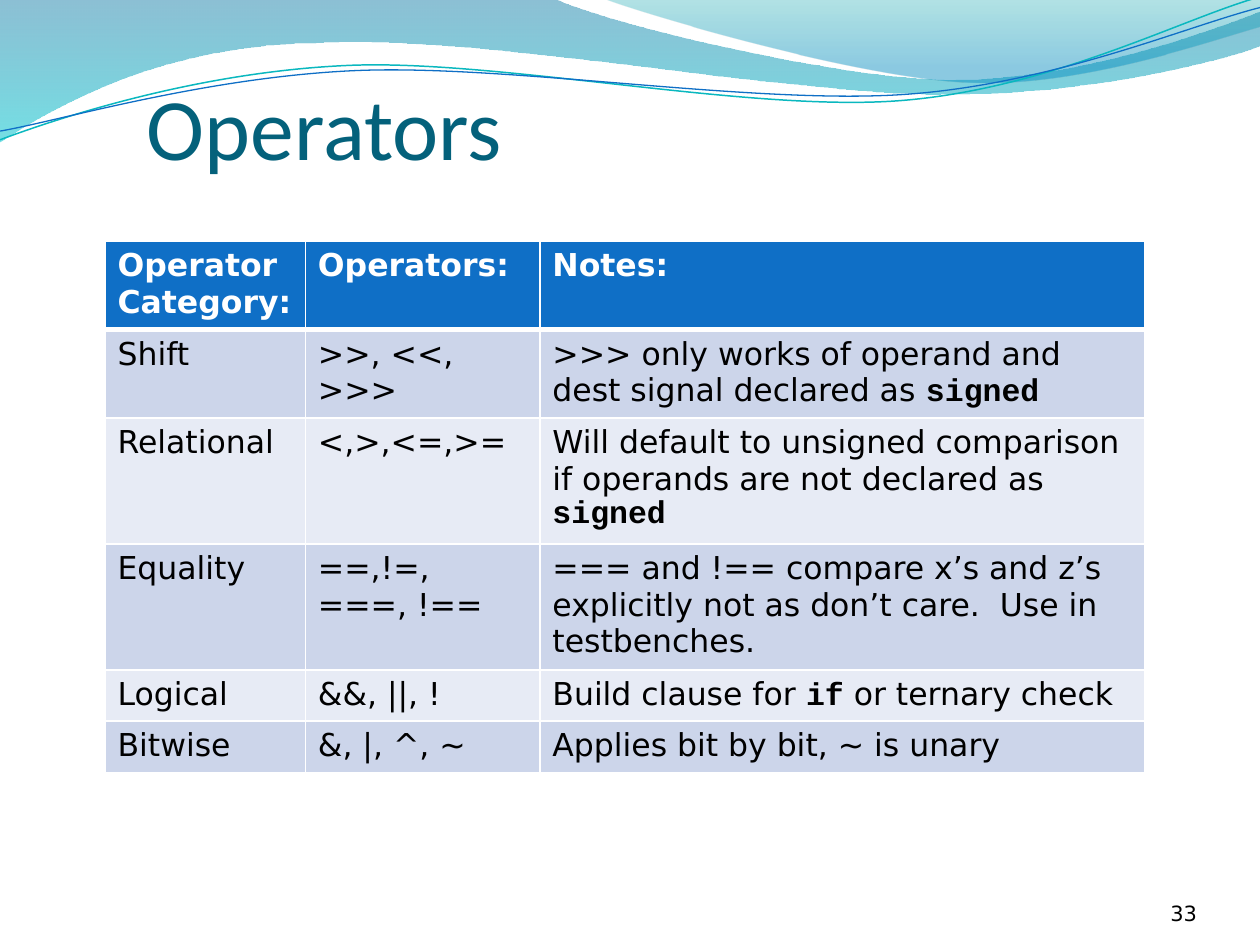
from lxml import etree
from pptx import Presentation
from pptx.dml.color import RGBColor
from pptx.enum.text import MSO_ANCHOR, PP_ALIGN
from pptx.oxml.ns import qn
from pptx.util import Pt

BOTTOM = MSO_ANCHOR.BOTTOM
LEFT, RIGHT = PP_ALIGN.LEFT, PP_ALIGN.RIGHT
TITLE_ONLY = 5

COLORS = {
    "title": "04617B", "text": "000000", "white": "FFFFFF",
    "header": "0F6FC6", "odd_row": "CCD5EA", "even_row": "E7EBF5",
    "deep_blue": "0074A1", "cyan": "00C6CF", "teal": "00A1A9",
    "sky": "008BBF", "teal_line": "0AB8BF", "blue_line": "0F6FC6",
}
TITLE_FONT, BODY_FONT, CODE_FONT = "Calibri", "DejaVu Sans", "Courier New"

# Outlines in points: a start, then one point per line or three per curve.
LEFT_WAVE = [
    (0, -0.7), [(316.8, -0.7)],
    [(342.7, 12.2), (478.1, 45.4), (545.8, 45.4)],
    [(614.2, 45.4), (689.8, 18.7), (720, 6.5)],
    [(720.7, 25.9)],
    [(707.8, 31.7), (626.4, 54.7), (537.1, 54)],
    [(447.8, 54), (275, 20.2), (185, 24.5)],
    [(92.9, 25.2), (33.1, 59.8), (-0.7, 81.4)],
]
RIGHT_WAVE = [
    (344.9, -0.7),
    [(366.5, 7.9), (491, 44.6), (553.7, 46.8)],
    [(616.3, 49.7), (691.9, 23), (720, 15.1)],
    [(720, 0)],
]
TEAL_STRAND = [
    (0, 79.9),
    [(34.6, 67), (113.8, 41), (199.4, 37.4)],
    [(284.4, 33.8), (427, 64.1), (513.4, 57.6)],
    [(599.8, 51.1), (675.4, 10.8), (718.6, -1.4)],
]
BLUE_STRAND = [
    (0, 74.9),
    [(33.8, 69.1), (118.1, 43.9), (203.8, 40.3)],
    [(290.2, 36.7), (429.8, 59.8), (516.2, 54)],
    [(601.9, 48.2), (677.5, 15.1), (720, 4.3)],
]

# Backticks enclose code.
OPERATOR_ROWS = [
    ("Operator Category:", "Operators:", "Notes:"),
    ("Shift", ">>, <<, >>>",
     ">>> only works of operand and dest signal declared as `signed`"),
    ("Relational", "<,>,<=,>=",
     "Will default to unsigned comparison if operands are not declared as `signed`"),
    ("Equality", "==,!=, ===, !==",
     "=== and !== compare x’s and z’s explicitly not as don’t care.  Use in testbenches."),
    ("Logical", "&&, ||, !", "Build clause for `if` or ternary check"),
    ("Bitwise", "&, |, ^, ~", "Applies bit by bit, ~ is unary"),
]
COLUMN_WIDTHS = (114.5, 134, 345.5)
ROW_HEIGHT = 29.2
TABLE_HEIGHT = 260


def rgb(name):
    return RGBColor.from_string(COLORS[name])


def add_run(paragraph, text, size, color, font=BODY_FONT, bold=False):
    run = paragraph.add_run()
    run.text = text
    run.font.name, run.font.size, run.font.bold = font, Pt(size), bold
    run.font.color.rgb = rgb(color)


def add_outline(slide, outline, close):
    """Build the outline from its end points, then bend its curved segments."""
    (start_x, start_y), *segments = outline
    builder = slide.shapes.build_freeform(Pt(start_x), Pt(start_y))
    builder.add_line_segments(
        [(Pt(x), Pt(y)) for x, y in (segment[-1] for segment in segments)], close=close)
    shape = builder.convert_to_shape()
    shape.shadow.inherit = False
    lines = list(shape._element.spPr.iter(qn("a:lnTo")))
    for line, segment in zip(lines, segments):
        if len(segment) == 3:
            curve = etree.Element(qn("a:cubicBezTo"))
            for x, y in segment:
                etree.SubElement(curve, qn("a:pt"), x=str(Pt(x) - shape.left),
                                 y=str(Pt(y) - shape.top))
            line.getparent().replace(line, curve)
    return shape


def add_wave(slide, outline, stops):
    """Add a wave with a downward gradient; stops are (position, colour, opacity %)."""
    wave = add_outline(slide, outline, close=True)
    wave.line.fill.background()
    wave.fill.gradient()
    wave.fill.gradient_angle = 270
    for stop, (position, color, _) in zip(wave.fill.gradient_stops, stops):
        stop.position = position
        stop.color.rgb = rgb(color)
    for element, (_, _, opacity) in zip(wave._element.spPr.iter(qn("a:srgbClr")), stops):
        etree.SubElement(element, qn("a:alpha"), val=str(opacity * 1000))


def add_strand(slide, outline, color, width):
    strand = add_outline(slide, outline, close=False)
    strand.fill.background()
    strand.line.color.rgb = rgb(color)
    strand.line.width = Pt(width)


def fill_title(slide):
    title = slide.shapes.title
    title.left, title.top, title.width, title.height = Pt(84), Pt(12), Pt(432), Pt(90)
    frame = title.text_frame
    frame.margin_left = frame.margin_right = frame.margin_bottom = 0
    frame.margin_top = Pt(3.6)
    frame.vertical_anchor = BOTTOM
    frame.paragraphs[0].alignment = LEFT
    add_run(frame.paragraphs[0], "Operators", 50, "title", TITLE_FONT)


def add_page_number(slide, number):
    frame = slide.shapes.add_textbox(Pt(624), Pt(500), Pt(60), Pt(28.8)).text_frame
    frame.margin_left = frame.margin_right = frame.margin_top = frame.margin_bottom = 0
    frame.word_wrap = True
    frame.vertical_anchor = BOTTOM
    frame.paragraphs[0].alignment = RIGHT
    add_run(frame.paragraphs[0], number, 12, "text")


def set_borders(cell, top, bottom):
    properties = cell._tc.get_or_add_tcPr()
    for side, width in (("L", 1), ("R", 1), ("T", top), ("B", bottom)):
        line = etree.SubElement(properties, qn(f"a:ln{side}"), w=str(Pt(width)))
        solid = etree.SubElement(line, qn("a:solidFill"))
        etree.SubElement(solid, qn("a:srgbClr"), val=COLORS["white"])


def add_operator_table(slide):
    holder = slide.shapes.add_table(
        len(OPERATOR_ROWS), len(COLUMN_WIDTHS), Pt(60), Pt(138),
        Pt(sum(COLUMN_WIDTHS)), Pt(ROW_HEIGHT * len(OPERATOR_ROWS)))
    table = holder.table
    for column, width in zip(table.columns, COLUMN_WIDTHS):
        column.width = Pt(width)
    holder.height = Pt(TABLE_HEIGHT)
    for row, texts in enumerate(OPERATOR_ROWS):
        header = row == 0
        background = "header" if header else "odd_row" if row % 2 else "even_row"
        for column, text in enumerate(texts):
            cell = table.cell(row, column)
            set_borders(cell, top=3 if row == 1 else 1, bottom=3 if header else 1)
            cell.fill.solid()
            cell.fill.fore_color.rgb = rgb(background)
            paragraph = cell.text_frame.paragraphs[0]
            for index, part in enumerate(text.split("`")):
                is_code = index % 2 == 1
                if part:
                    add_run(paragraph, part, 18, "white" if header else "text",
                            CODE_FONT if is_code else BODY_FONT, header or is_code)


def main():
    deck = Presentation()
    deck.slide_width, deck.slide_height = Pt(720), Pt(540)
    slide = deck.slides.add_slide(deck.slide_layouts[TITLE_ONLY])
    add_wave(slide, LEFT_WAVE, [(0, "deep_blue", 45), (1, "cyan", 55)])
    add_wave(slide, RIGHT_WAVE, [(0, "teal", 30), (0.8, "sky", 45)])
    add_strand(slide, TEAL_STRAND, "teal_line", 0.85)
    add_strand(slide, BLUE_STRAND, "blue_line", 0.75)
    fill_title(slide)
    add_page_number(slide, "33")
    add_operator_table(slide)
    deck.save("out.pptx")


if __name__ == "__main__":
    main()
